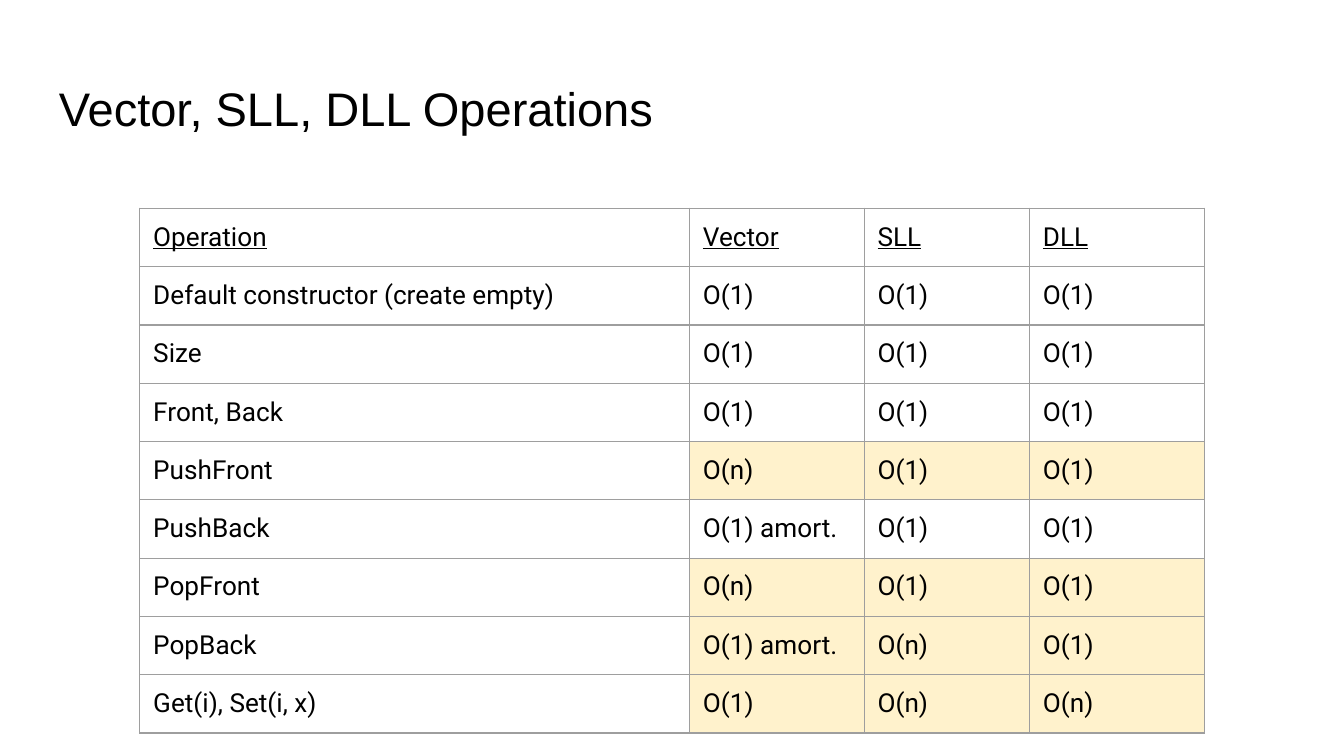
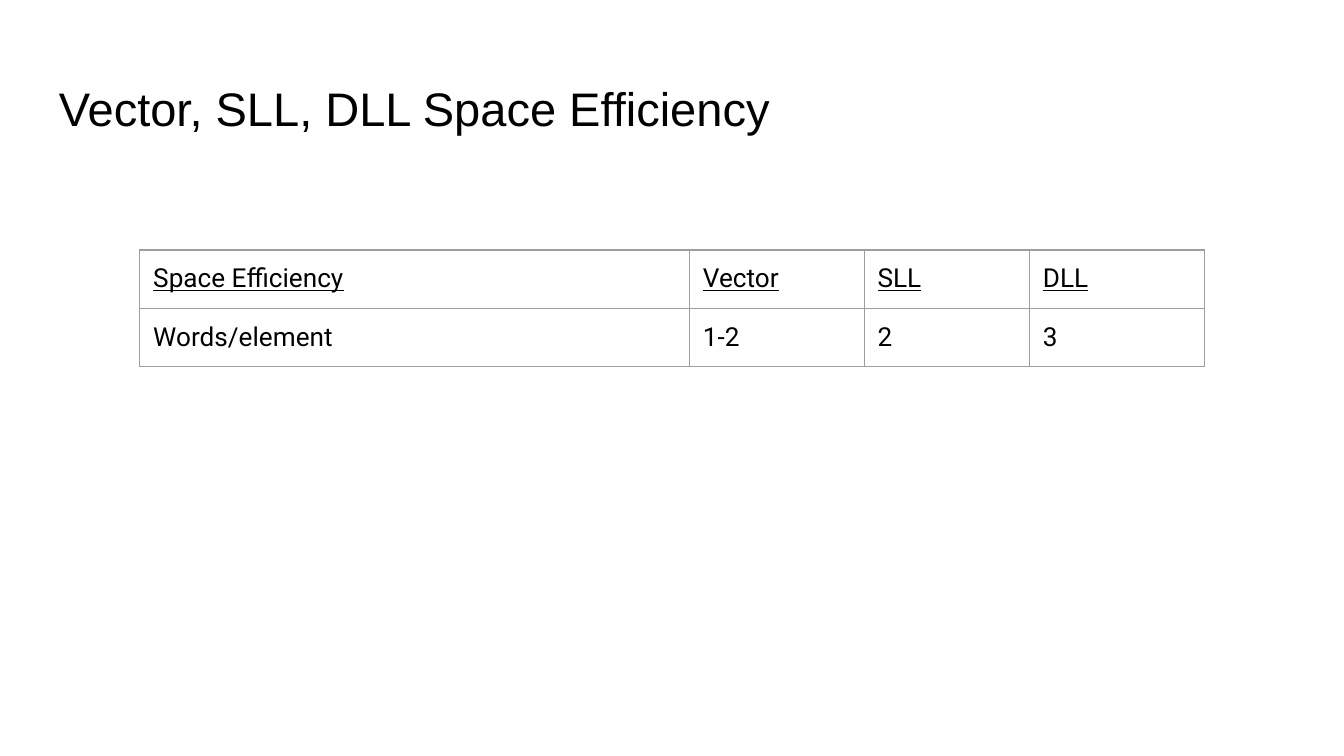
from pptx import Presentation
from pptx.dml.color import RGBColor
from pptx.enum.text import MSO_ANCHOR as Anchor
from pptx.oxml.ns import qn
from pptx.util import Pt
from lxml.etree import SubElement

BLACK = RGBColor(0x00, 0x00, 0x00)
GRID = RGBColor(0x9E, 0x9E, 0x9E)
HIGHLIGHT = RGBColor(0xFF, 0xF2, 0xCC)

INSET = Pt(7.2)
TABLE_LEFT = 74.88
ROW_HEIGHT = 30.24
COLUMN_WIDTHS = [294.48, 93.6, 88.56, 93.6]
STRUCTURES = ["Vector", "SLL", "DLL"]

OPERATIONS = [
    ["Operation", *STRUCTURES],
    ["Default constructor (create empty)", "O(1)", "O(1)", "O(1)"],
    ["Size", "O(1)", "O(1)", "O(1)"],
    ["Front, Back", "O(1)", "O(1)", "O(1)"],
    ["PushFront", "O(n)", "O(1)", "O(1)"],
    ["PushBack", "O(1) amort.", "O(1)", "O(1)"],
    ["PopFront", "O(n)", "O(1)", "O(1)"],
    ["PopBack", "O(1) amort.", "O(n)", "O(1)"],
    ["Get(i), Set(i, x)", "O(1)", "O(n)", "O(n)"],
]
SPACE = [
    ["Space Efficiency", *STRUCTURES],
    ["Words/element", "1-2", "2", "3"],
]
HIGHLIGHTED = {"PushFront", "PopFront", "PopBack", "Get(i), Set(i, x)"}

SLIDES = [
    ("Vector, SLL, DLL Operations", 111.6, OPERATIONS),
    ("Vector, SLL, DLL Space Efficiency", 133.92, SPACE),
]


def write(frame, text, font="Roboto", size=14, color=BLACK, underline=False):
    frame.word_wrap = True
    run = frame.paragraphs[0].add_run()
    run.text = text
    run.font.name = font
    run.font.size = Pt(size)
    run.font.color.rgb = color
    run.font.underline = underline


def add_borders(cell, color=GRID, width=0.75):
    properties = cell._tc.get_or_add_tcPr()
    for side in ("a:lnL", "a:lnR", "a:lnT", "a:lnB"):
        line = SubElement(properties, qn(side), w=str(int(Pt(width))))
        fill = SubElement(line, qn("a:solidFill"))
        SubElement(fill, qn("a:srgbClr"), val=str(color))


deck = Presentation()
deck.slide_width, deck.slide_height = Pt(720), Pt(405)

for heading, table_top, rows in SLIDES:
    slide = deck.slides.add_slide(deck.slide_layouts[6])

    title = slide.shapes.add_textbox(Pt(24.48), Pt(35.28), Pt(671.04), Pt(45.36)).text_frame
    title.margin_left = title.margin_right = INSET
    title.margin_top = title.margin_bottom = INSET
    title.vertical_anchor = Anchor.TOP
    write(title, heading, font="Arial", size=25.2)

    comparison = slide.shapes.add_table(
        len(rows), len(COLUMN_WIDTHS), Pt(TABLE_LEFT), Pt(table_top),
        Pt(sum(COLUMN_WIDTHS)), Pt(ROW_HEIGHT * len(rows))).table
    comparison.first_row = comparison.horz_banding = False
    for column, width in zip(comparison.columns, COLUMN_WIDTHS):
        column.width = Pt(width)

    for r, values in enumerate(rows):
        comparison.rows[r].height = Pt(ROW_HEIGHT)
        for c, value in enumerate(values):
            cell = comparison.cell(r, c)
            cell.margin_left = cell.margin_right = INSET
            cell.margin_top = cell.margin_bottom = INSET
            add_borders(cell)
            if c > 0 and values[0] in HIGHLIGHTED:
                cell.fill.solid()
                cell.fill.fore_color.rgb = HIGHLIGHT
            else:
                cell.fill.background()
            write(cell.text_frame, value, underline=r == 0)

deck.save("out.pptx")
